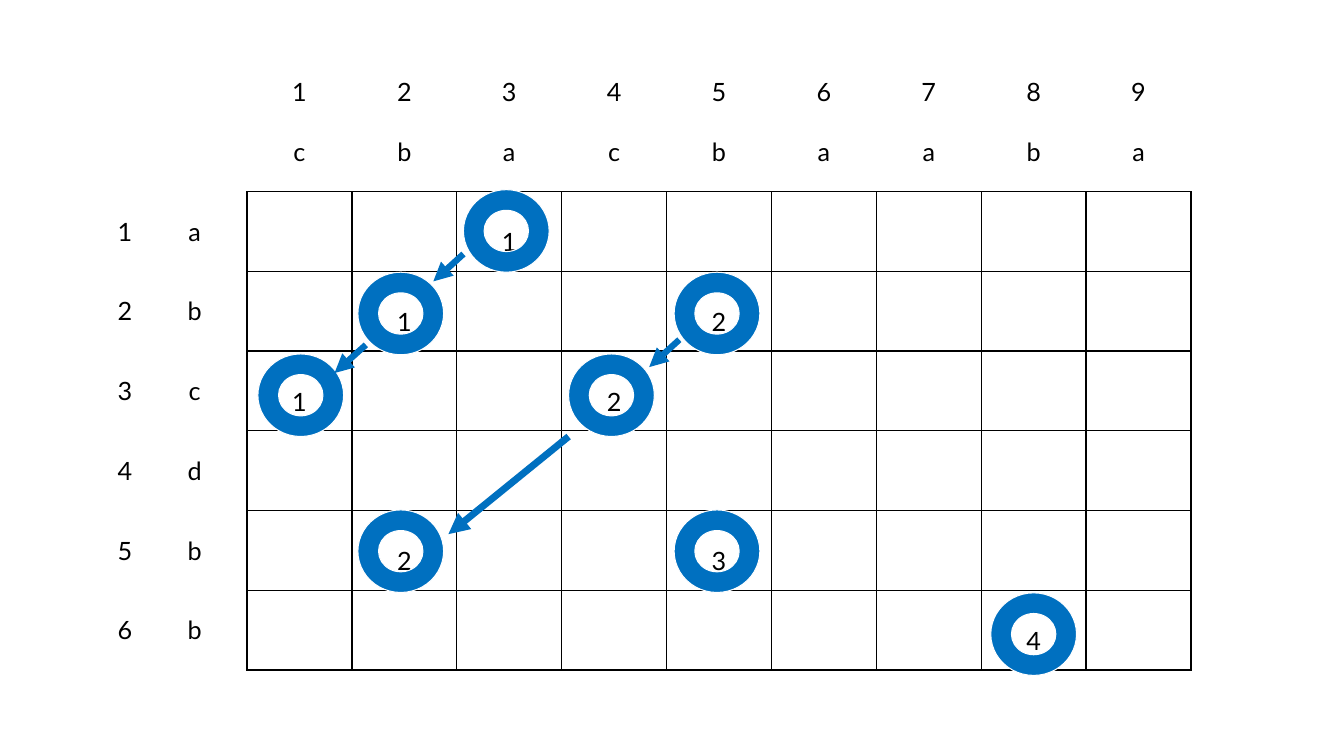
from dataclasses import dataclass

import lxml.etree
import pptx
import pptx.dml.color
import pptx.enum.shapes
import pptx.enum.text
import pptx.oxml
import pptx.oxml.ns
import pptx.presentation
import pptx.shapes.autoshape
import pptx.shapes.connector
import pptx.slide
import pptx.table
import pptx.util

Cm = pptx.util.Cm
Pt = pptx.util.Pt
Align = pptx.enum.text.PP_ALIGN
Anchor = pptx.enum.text.MSO_ANCHOR


@dataclass(frozen=True)
class Theme:
    font: str = "Lato"
    text_size: float = 18
    text: str = "000000"
    grid: str = "000000"
    hidden_grid: str = "FFFFFF"
    accent: str = "0070C0"
    ring_outline: str = "FFFFFF"
    grid_width: float = 1
    ring_outline_width: float = 0.75


@dataclass(frozen=True)
class Ring:
    left: float
    top: float


@dataclass(frozen=True)
class Arrow:
    start: tuple[float, float]
    end: tuple[float, float]
    width: float = 4.5


THEME = Theme()
COLUMN_WORD = "cbacbaaba"
ROW_WORD = "abcdbb"
HEADER_COUNT = 2
TABLE_LEFT, TABLE_TOP = 0.94, 0.81
TABLE_WIDTH, TABLE_HEIGHT = 29.08, 16.08
RING_WIDTH, RING_HEIGHT = 2.16, 2.08

MATCH_LENGTHS = {
    (1, 3): "1",
    (2, 2): "1",
    (2, 5): "2",
    (3, 1): "1",
    (3, 4): "2",
    (5, 2): "2",
    (5, 5): "3",
    (6, 8): "4",
}
RINGS = [
    Ring(11.68, 4.78),
    Ring(9.02, 6.86),
    Ring(9.02, 12.85),
    Ring(16.99, 6.86),
    Ring(14.33, 8.92),
    Ring(6.5, 8.92),
    Ring(24.97, 14.94),
    Ring(16.99, 12.85),
]
ARROWS = [
    Arrow((11.68, 6.4), (10.92, 7.09)),
    Arrow((9.22, 8.69), (8.43, 9.4)),
    Arrow((17.12, 8.56), (16.36, 9.25)),
    Arrow((14.33, 11), (11.3, 13.46), width=5),
]


def rgb(color: str) -> pptx.dml.color.RGBColor:
    return pptx.dml.color.RGBColor.from_string(color)


def write_text(
    cell: pptx.table._Cell,
    text: str,
    *,
    alignment: Align = Align.CENTER,
    anchor: Anchor = Anchor.MIDDLE,
    level: int = 0,
    line_spacing: float = 1,
) -> None:
    cell.vertical_anchor = anchor
    paragraph = cell.text_frame.paragraphs[0]
    paragraph.alignment = alignment
    paragraph.level = level
    paragraph.line_spacing = line_spacing
    properties = paragraph._p.get_or_add_pPr()
    properties.set("marL", "0")
    properties.set("indent", "0")
    run = paragraph.add_run()
    run.text = text
    run.font.name = THEME.font
    run.font.size = Pt(THEME.text_size)
    run.font.color.rgb = rgb(THEME.text)


def set_borders(cell: pptx.table._Cell, row: int, column: int) -> None:
    in_grid = row >= HEADER_COUNT and column >= HEADER_COUNT
    above_grid = row == HEADER_COUNT - 1 and column >= HEADER_COUNT
    beside_grid = column == HEADER_COUNT - 1 and row >= HEADER_COUNT
    visible_sides = {
        "L": in_grid,
        "R": in_grid or beside_grid,
        "T": in_grid,
        "B": in_grid or above_grid,
    }
    properties = cell._tc.get_or_add_tcPr()
    for side, visible in visible_sides.items():
        color = THEME.grid if visible else THEME.hidden_grid
        properties.append(pptx.oxml.parse_xml(
            f'<a:ln{side} {pptx.oxml.ns.nsdecls("a")} w="{Pt(THEME.grid_width)}">'
            f'<a:solidFill><a:srgbClr val="{color}"/></a:solidFill></a:ln{side}>'
        ))
    cell.fill.background()


def add_match_table(slide: pptx.slide.Slide) -> pptx.table.Table:
    row_count = HEADER_COUNT + len(ROW_WORD)
    column_count = HEADER_COUNT + len(COLUMN_WORD)
    table = slide.shapes.add_table(
        row_count, column_count,
        Cm(TABLE_LEFT), Cm(TABLE_TOP), Cm(TABLE_WIDTH), Cm(TABLE_HEIGHT),
    ).table
    table.first_row = False
    table.horz_banding = False
    for row in range(row_count):
        for column in range(column_count):
            set_borders(table.cell(row, column), row, column)
    for number, letter in enumerate(COLUMN_WORD, start=1):
        column = number + HEADER_COUNT - 1
        write_text(table.cell(0, column), str(number), anchor=Anchor.BOTTOM)
        write_text(table.cell(1, column), letter)
    for number, letter in enumerate(ROW_WORD, start=1):
        row = number + HEADER_COUNT - 1
        write_text(table.cell(row, 0), str(number), alignment=Align.RIGHT)
        write_text(table.cell(row, 1), letter)
    for (row_number, column_number), length in MATCH_LENGTHS.items():
        cell = table.cell(
            row_number + HEADER_COUNT - 1, column_number + HEADER_COUNT - 1
        )
        write_text(cell, length, anchor=Anchor.TOP, level=1, line_spacing=2)
    return table


def add_ring(slide: pptx.slide.Slide, ring: Ring) -> pptx.shapes.autoshape.Shape:
    shape = slide.shapes.add_shape(
        pptx.enum.shapes.MSO_SHAPE.DONUT,
        Cm(ring.left), Cm(ring.top), Cm(RING_WIDTH), Cm(RING_HEIGHT),
    )
    shape.shadow.inherit = False
    shape.fill.solid()
    shape.fill.fore_color.rgb = rgb(THEME.accent)
    shape.line.color.rgb = rgb(THEME.ring_outline)
    shape.line.width = Pt(THEME.ring_outline_width)
    return shape


def add_arrow(slide: pptx.slide.Slide, arrow: Arrow) -> pptx.shapes.connector.Connector:
    connector = slide.shapes.add_connector(
        pptx.enum.shapes.MSO_CONNECTOR.STRAIGHT,
        *(Cm(length) for length in (*arrow.start, *arrow.end)),
    )
    connector.line.color.rgb = rgb(THEME.accent)
    connector.line.width = Pt(arrow.width)
    qualified = pptx.oxml.ns.qn
    line = connector.line._get_or_add_ln()
    lxml.etree.SubElement(line, qualified("a:tailEnd"), type="triangle")
    lxml.etree.SubElement(connector._element.spPr, qualified("a:effectLst"))
    return connector


def build_presentation() -> pptx.presentation.Presentation:
    presentation = pptx.Presentation()
    presentation.slide_width = Cm(33.87)
    presentation.slide_height = Cm(19.05)
    slide = presentation.slides.add_slide(presentation.slide_layouts[6])
    add_match_table(slide)
    for ring in RINGS:
        add_ring(slide, ring)
    for arrow in ARROWS:
        add_arrow(slide, arrow)
    return presentation


if __name__ == "__main__":
    build_presentation().save("out.pptx")
